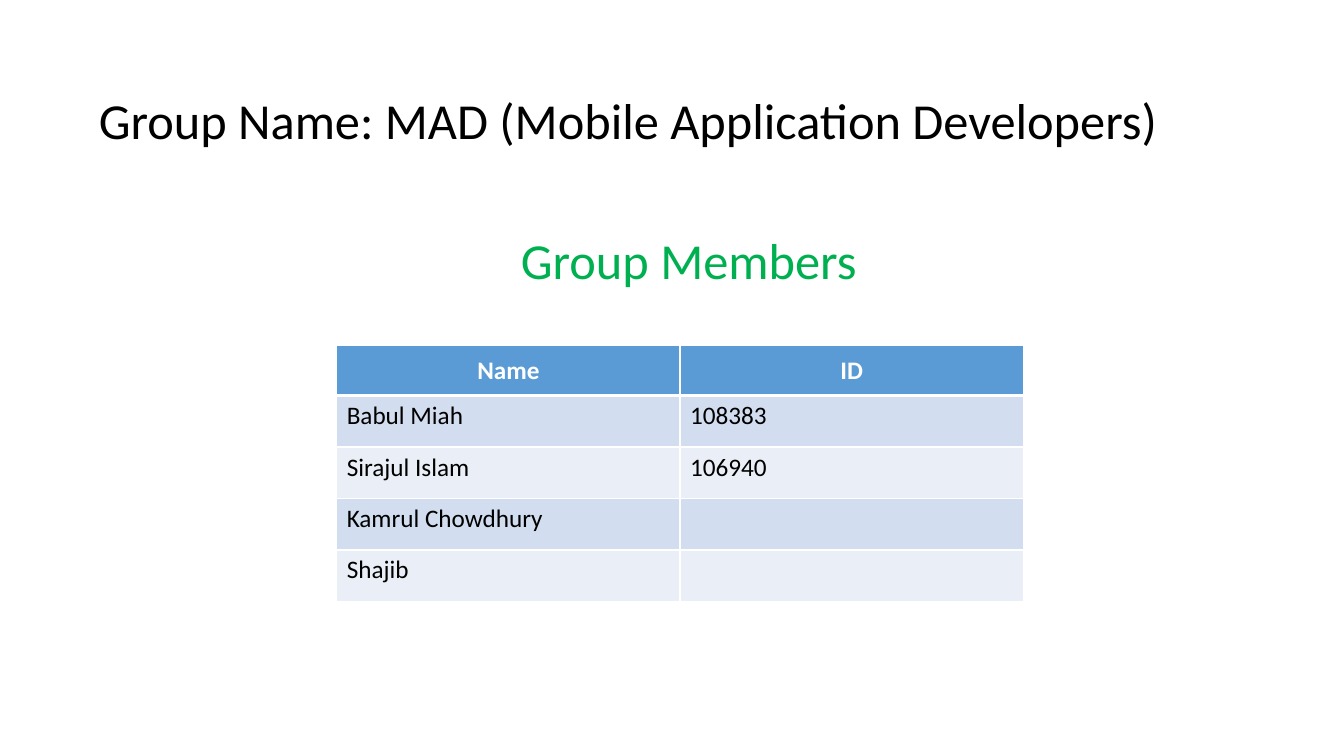
from lxml.etree import SubElement
from pptx import Presentation
from pptx.dml.color import RGBColor
from pptx.enum.text import MSO_ANCHOR as Anchor, MSO_AUTO_SIZE as AutoSize, PP_ALIGN as Align
from pptx.oxml.ns import qn
from pptx.util import Pt

FONT = "Calibri"
BLACK, WHITE, GREEN = "000000", "FFFFFF", "00B050"
HEADER_FILL, BAND_FILLS = "5B9BD5", ("D2DEEF", "EAEFF7")
MEMBERS = [
    ("Name", "ID"),
    ("Babul Miah", "108383"),
    ("Sirajul Islam", "106940"),
    ("Kamrul Chowdhury", ""),
    ("Shajib", ""),
]


def color(hex_value):
    """Return the colour for a hex string."""
    return RGBColor.from_string(hex_value)


def add_run(paragraph, text, size, hex_value, bold=False):
    """Add one formatted run to a paragraph."""
    run = paragraph.add_run()
    run.text = text
    run.font.name = FONT
    run.font.size = Pt(size)
    run.font.bold = bold
    run.font.color.rgb = color(hex_value)


def add_heading(slide, box, text, hex_value, align, wrap):
    """Place a one-line heading in the given box."""
    shape = slide.shapes.add_textbox(*map(Pt, box))
    frame = shape.text_frame
    frame.word_wrap = wrap
    frame.auto_size = AutoSize.SHAPE_TO_FIT_TEXT
    paragraph = frame.paragraphs[0]
    paragraph.alignment = align
    add_run(paragraph, text, 36, hex_value)


def set_borders(cell, widths):
    """Draw white cell borders with widths in points, keyed by side."""
    properties = cell._tc.get_or_add_tcPr()
    for side, width in widths.items():
        line = SubElement(properties, qn(f"a:ln{side}"), w=str(Pt(width)))
        fill = SubElement(line, qn("a:solidFill"))
        SubElement(fill, qn("a:srgbClr"), val=WHITE)


def add_member_table(slide, box, rows, header_height):
    """Place the banded member table in the given box."""
    left, top, width, height = box
    columns = len(rows[0])
    table = slide.shapes.add_table(len(rows), columns, *map(Pt, box)).table
    for column in table.columns:
        column.width = Pt(width / columns)
    body_height = (height - header_height) / (len(rows) - 1)
    for r, values in enumerate(rows):
        header = r == 0
        table.rows[r].height = Pt(header_height if header else body_height)
        for c, text in enumerate(values):
            cell = table.cell(r, c)
            set_borders(cell, {"L": 1, "R": 1, "T": 3 if r == 1 else 1, "B": 3 if header else 1})
            cell.fill.solid()
            cell.fill.fore_color.rgb = color(HEADER_FILL if header else BAND_FILLS[(r - 1) % 2])
            cell.vertical_anchor = Anchor.MIDDLE if header else Anchor.TOP
            paragraph = cell.text_frame.paragraphs[0]
            paragraph.alignment = Align.CENTER if header else Align.LEFT
            if text:
                add_run(paragraph, text, 18, WHITE if header else BLACK, header)


def main():
    """Build the group slide and save it."""
    presentation = Presentation()
    presentation.slide_width, presentation.slide_height = Pt(960), Pt(540)
    slide = presentation.slides.add_slide(presentation.slide_layouts[6])
    add_heading(slide, (60, 60, 777.6, 51), "Group Name: MAD (Mobile Application Developers)",
                BLACK, Align.CENTER, False)
    add_member_table(slide, (240.5, 247, 490.6, 182.6), MEMBERS, 35.6)
    add_heading(slide, (365, 160, 255.6, 51), "Group Members", GREEN, Align.LEFT, True)
    presentation.save("out.pptx")


if __name__ == "__main__":
    main()
